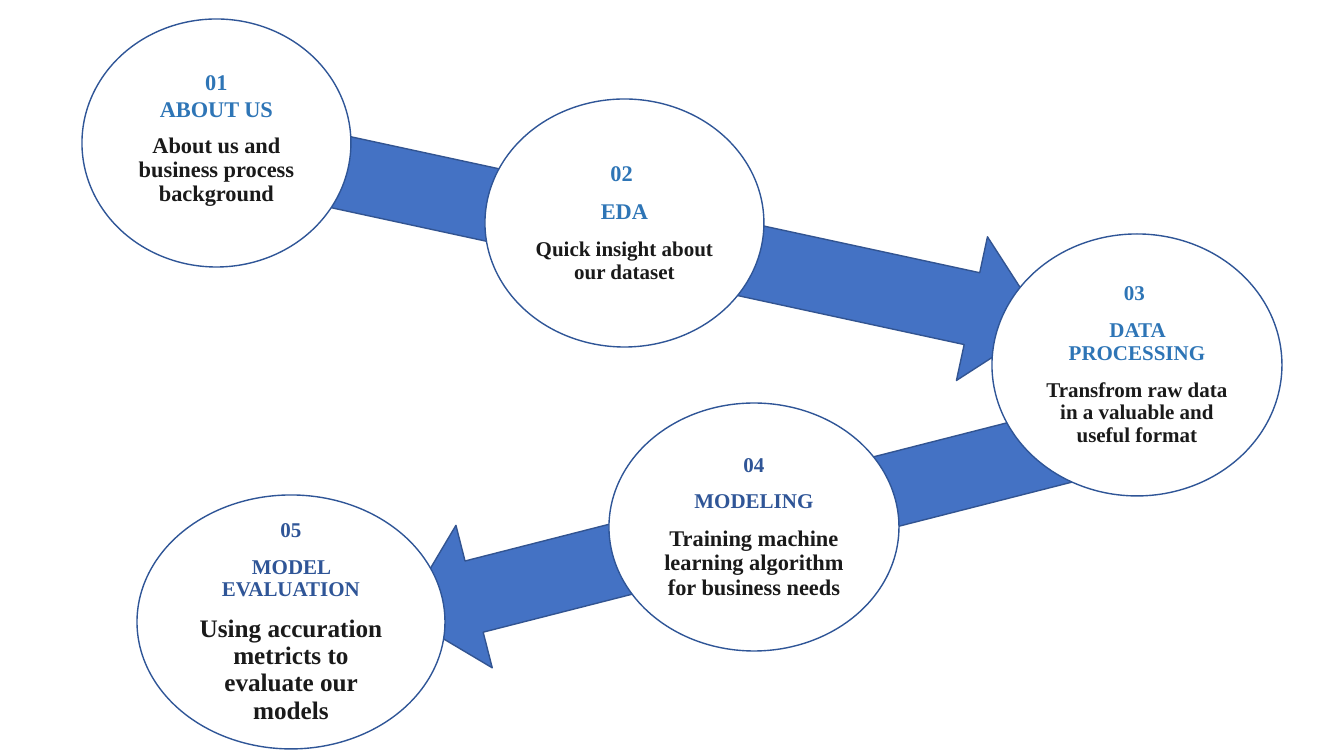
import pptx
import pptx.dml.color
import pptx.enum.shapes
import pptx.enum.text
import pptx.util

# Content: bounds are left, top, width, height in px
PAGE_SIZE = (1344, 756)
COLORS = {
    "arrow": "4472C4",
    "arrow_edge": "325491",
    "circle": "FFFFFF",
    "navy": "2F5597",
    "blue": "2E75B6",
    "ink": "1A1A1A",
}
FONT = "Times New Roman"
ARROWS = [
    ((391, 447, 763, 147), 165.7),
    ((242, 165, 811, 147), 12.2),
]
# bounds, number, heading, detail, heading color, heading pt, detail pt, heading spacing
STEPS = [
    ((485, 99, 279, 248), "02 ", "EDA",
     "Quick insight about our dataset", "blue", 16, 15, 0.9),
    ((992, 234, 290, 262), "03 ", "DATA PROCESSING",
     "Transfrom raw data in a valuable and useful format", "blue", 15, 15, 0.9),
    ((82, 19, 269, 248), "01", "ABOUT US",
     "About us and business process background", "blue", 16, 16, 0.5),
    ((609, 403, 290, 248), "04", "MODELING",
     "Training machine learning algorithm for business needs", "navy", 15, 16, 0.9),
    ((137, 495, 308, 254), "05", "MODEL EVALUATION",
     "Using accuration metricts to evaluate our models", "navy", 15, 18, 0.9),
]

EMU_PER_PX = 914400 / 100.8
SHAPES = pptx.enum.shapes.MSO_SHAPE


def emu(px):
    return pptx.util.Emu(round(px * EMU_PER_PX))


def rgb(name):
    return pptx.dml.color.RGBColor.from_string(COLORS[name])


def add_box(page, kind, bounds, fill, edge):
    box = page.shapes.add_shape(kind, *map(emu, bounds))
    box.shadow.inherit = False
    box.fill.solid()
    box.fill.fore_color.rgb = rgb(fill)
    box.line.color.rgb = rgb(edge)
    box.line.width = pptx.util.Pt(1)
    return box


def write(para, text, *, size, color, spacing):
    para.alignment = pptx.enum.text.PP_ALIGN.CENTER
    para.line_spacing = spacing
    para.space_before = pptx.util.Pt(10)
    span = para.add_run()
    span.text = text
    span.font.name = FONT
    span.font.size = pptx.util.Pt(size)
    span.font.bold = True
    span.font.color.rgb = rgb(color)


deck = pptx.Presentation()
deck.slide_width, deck.slide_height = map(emu, PAGE_SIZE)
page = deck.slides.add_slide(deck.slide_layouts.get_by_name("Blank"))

# Arrows behind the circles
for bounds, angle in ARROWS:
    arrow = add_box(page, SHAPES.RIGHT_ARROW, bounds, "arrow", "arrow_edge")
    arrow.rotation = angle

# Step circles
for bounds, number, heading, detail, color, heading_size, detail_size, spacing in STEPS:
    circle = add_box(page, SHAPES.OVAL, bounds, "circle", "navy")
    frame = circle.text_frame
    frame.word_wrap = True
    frame.vertical_anchor = pptx.enum.text.MSO_ANCHOR.MIDDLE
    write(frame.paragraphs[0], number, size=heading_size, color=color, spacing=spacing)
    write(frame.add_paragraph(), heading, size=heading_size, color=color, spacing=spacing)
    write(frame.add_paragraph(), detail, size=detail_size, color="ink", spacing=0.9)

deck.save("out.pptx")
